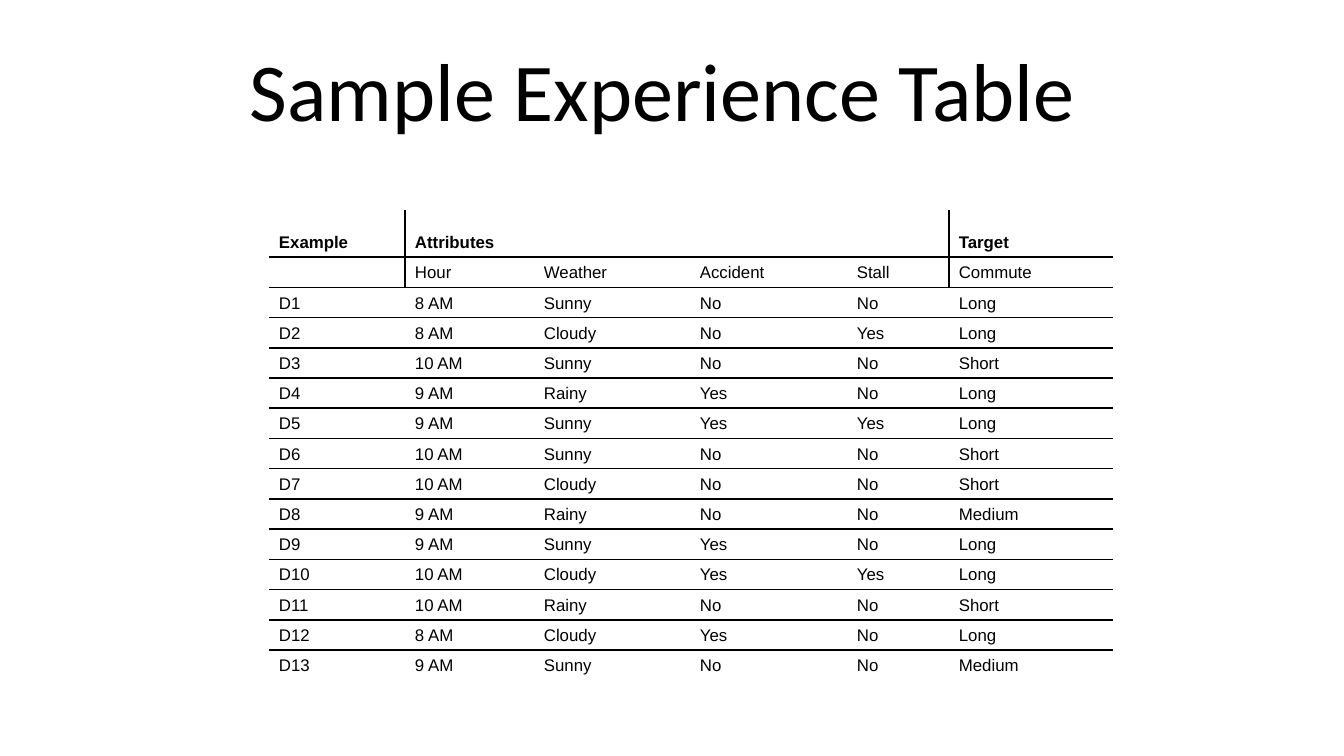
from lxml.etree import SubElement
from pptx import Presentation
from pptx.dml.color import RGBColor
from pptx.enum.text import MSO_ANCHOR, MSO_AUTO_SIZE, PP_ALIGN
from pptx.oxml.ns import qn
from pptx.util import Pt

# Content
TITLE = "Sample Experience Table"
GROUPS = ["Example", "Attributes", "", "", "", "Target"]
FIELDS = ["", "Hour", "Weather", "Accident", "Stall", "Commute"]
EXAMPLES = [
    ["D1", "8 AM", "Sunny", "No", "No", "Long"],
    ["D2", "8 AM", "Cloudy", "No", "Yes", "Long"],
    ["D3", "10 AM", "Sunny", "No", "No", "Short"],
    ["D4", "9 AM", "Rainy", "Yes", "No", "Long"],
    ["D5", "9 AM", "Sunny", "Yes", "Yes", "Long"],
    ["D6", "10 AM", "Sunny", "No", "No", "Short"],
    ["D7", "10 AM", "Cloudy", "No", "No", "Short"],
    ["D8", "9 AM", "Rainy", "No", "No", "Medium"],
    ["D9", "9 AM", "Sunny", "Yes", "No", "Long"],
    ["D10", "10 AM", "Cloudy", "Yes", "Yes", "Long"],
    ["D11", "10 AM", "Rainy", "No", "No", "Short"],
    ["D12", "8 AM", "Cloudy", "Yes", "No", "Long"],
    ["D13", "9 AM", "Sunny", "No", "No", "Medium"],
]
ROWS = [GROUPS, FIELDS] + EXAMPLES

# Layout in px and formats
SLIDE_SIZE = (1344, 756)
TITLE_BOX = (137, 11, 1052, 156)
TABLE_LEFT, TABLE_TOP = 269, 210
COLUMN_WIDTHS = [136, 129, 156, 157, 102, 164]
GROUP_ROW_HEIGHT, OTHER_ROWS_HEIGHT = 47, 423
ATTRIBUTES_SPAN = (1, 4)
DIVIDED_COLUMNS = (1, 5)
HANGING_INDENT = 66
COLORS = {"text": "000000", "rule": "000000"}
TITLE_FONT = {"name": "Calibri", "size": Pt(44), "bold": False}
GROUP_FONT = {"name": "Arial", "size": Pt(9), "bold": True}
BODY_FONT = {**GROUP_FONT, "bold": False}


def px(length):
    return round(length * 914400 / 134.4)


CELL_FORMAT = {
    "vertical_anchor": MSO_ANCHOR.BOTTOM,
    "margin_left": px(10), "margin_right": px(10),
    "margin_top": px(5), "margin_bottom": px(5),
}


def apply(target, values):
    for key, value in values.items():
        setattr(target, key, value)


def write(paragraph, text, font):
    run = paragraph.add_run()
    run.text = text
    apply(run.font, font)
    run.font.color.rgb = RGBColor.from_string(COLORS["text"])


def draw_borders(cell, visible):
    properties = cell._tc.get_or_add_tcPr()
    for side in "LRTB":
        border = SubElement(properties, qn(f"a:ln{side}"), w=str(Pt(1)))
        if side in visible:
            fill = SubElement(border, qn("a:solidFill"))
            SubElement(fill, qn("a:srgbClr"), val=COLORS["rule"])
        else:
            SubElement(border, qn("a:noFill"))


def visible_sides(row, column, next_column):
    in_heading = row < 2
    return {
        side for side, shown in {
            "L": in_heading and column in DIVIDED_COLUMNS,
            "R": in_heading and next_column in DIVIDED_COLUMNS,
            "T": row > 0,
            "B": row < len(ROWS) - 1,
        }.items() if shown
    }


def fill_cell(cell, text, row, column):
    apply(cell, CELL_FORMAT)
    paragraph = cell.text_frame.paragraphs[0]
    indent = paragraph._p.get_or_add_pPr()
    indent.set("marL", str(px(HANGING_INDENT)))
    indent.set("indent", str(-px(HANGING_INDENT)))
    if text:
        write(paragraph, text, GROUP_FONT if row == 0 else BODY_FONT)
    else:
        # Keeps an empty cell from stretching its row
        SubElement(paragraph._p, qn("a:endParaRPr"), sz="900")
    span = cell.span_width if cell.is_merge_origin else 1
    draw_borders(cell, visible_sides(row, column, column + span))
    cell.fill.background()


def main():
    prs = Presentation()
    prs.slide_width, prs.slide_height = map(px, SLIDE_SIZE)
    slide = prs.slides.add_slide(prs.slide_layouts[5])

    # Title
    title = slide.shapes.title
    apply(title, dict(zip(("left", "top", "width", "height"), map(px, TITLE_BOX))))
    apply(title.text_frame, {"vertical_anchor": MSO_ANCHOR.MIDDLE,
                             "auto_size": MSO_AUTO_SIZE.NONE, "word_wrap": True})
    heading = title.text_frame.paragraphs[0]
    heading.alignment = PP_ALIGN.CENTER
    write(heading, TITLE, TITLE_FONT)

    # Table grid
    table = slide.shapes.add_table(
        len(ROWS), len(COLUMN_WIDTHS), px(TABLE_LEFT), px(TABLE_TOP),
        px(sum(COLUMN_WIDTHS)), px(GROUP_ROW_HEIGHT + OTHER_ROWS_HEIGHT)).table
    apply(table, {"first_row": False, "horz_banding": False})
    for column, width in zip(table.columns, COLUMN_WIDTHS):
        column.width = px(width)
    for index, row in enumerate(table.rows):
        row.height = px(OTHER_ROWS_HEIGHT / (len(ROWS) - 1) if index else GROUP_ROW_HEIGHT)
    first, last = ATTRIBUTES_SPAN
    table.cell(0, first).merge(table.cell(0, last))

    # Table cells
    for row, texts in enumerate(ROWS):
        for column, text in enumerate(texts):
            fill_cell(table.cell(row, column), text, row, column)

    prs.save("out.pptx")


if __name__ == "__main__":
    main()
